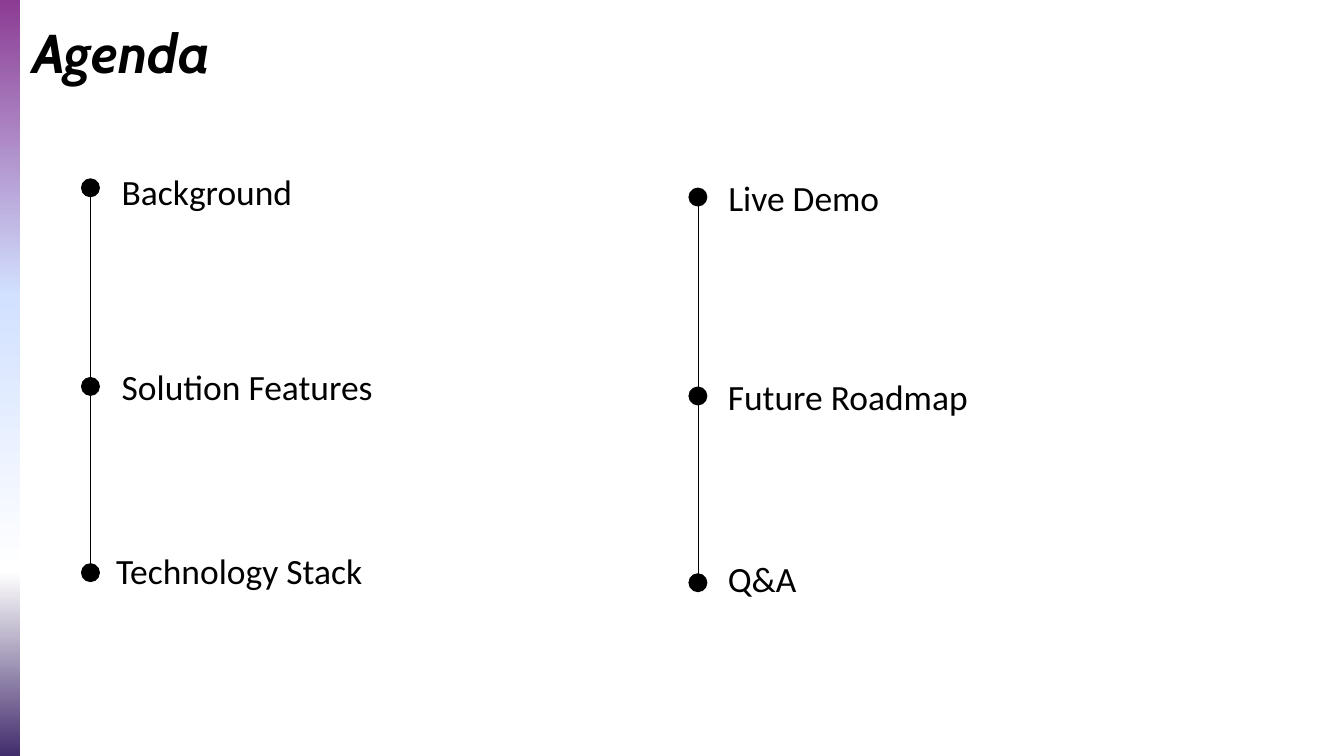
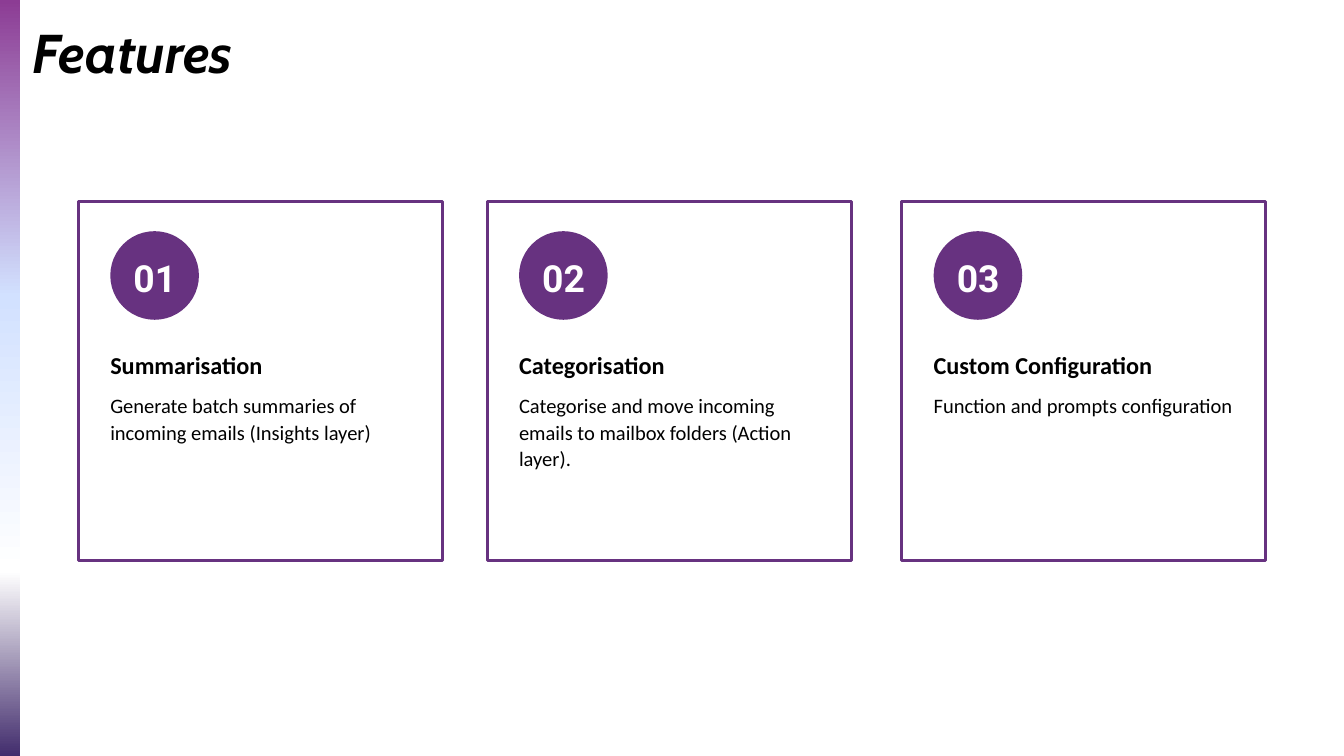
from copy import deepcopy

from lxml import etree
from pptx import Presentation
from pptx.dml.color import RGBColor
from pptx.enum.shapes import MSO_CONNECTOR, MSO_SHAPE
from pptx.enum.text import MSO_ANCHOR, MSO_AUTO_SIZE, PP_ALIGN
from pptx.oxml.ns import qn
from pptx.util import Cm, Pt

OVAL, RECTANGLE = MSO_SHAPE.OVAL, MSO_SHAPE.RECTANGLE
STRAIGHT = MSO_CONNECTOR.STRAIGHT
TOP, MIDDLE, BOTTOM = MSO_ANCHOR.TOP, MSO_ANCHOR.MIDDLE, MSO_ANCHOR.BOTTOM
LEFT, CENTER = PP_ALIGN.LEFT, PP_ALIGN.CENTER
FIXED, GROW = MSO_AUTO_SIZE.NONE, MSO_AUTO_SIZE.SHAPE_TO_FIT_TEXT

BLACK, WHITE, PURPLE = "000000", "FFFFFF", "673280"
BAND_STOPS = [(0, "8C3C94"), (0.39, "D2E1FF"), (0.75, "FFFFFF"), (1, "3C2668")]

TITLE = {"name": "Cabin", "size": Pt(58.5), "bold": True, "italic": True}
AGENDA_ITEM = {"name": "Calibri", "size": Pt(38)}
CARD_HEADING = {"name": "Calibri", "size": Pt(26), "bold": True}
CARD_BODY = {"name": "Calibri", "size": Pt(22)}
CARD_NUMBER = {"name": "Roboto", "size": Pt(40), "bold": True}

DOT = 0.68
LEFT_AGENDA = [
    ("Background", 6.76, 4.6, 5.23),
    ("Solution Features", 14.27, 4.6, 12.6),
    ("Technology Stack", 21.31, 4.39, 19.56),
]
RIGHT_AGENDA = [
    ("Live Demo", 7.11, 27.53, 5.44),
    ("Future Roadmap", 14.63, 27.51, 12.95),
    ("Q&A", 21.69, 27.51, 19.84),
]
CARDS = [
    (2.97, "Summarisation",
     "Generate batch summaries of incoming emails (Insights layer)", 2.08),
    (18.42, "Categorisation",
     "Categorise and move incoming emails to mailbox folders (Action layer).", 3.07),
    (34.09, "Custom Configuration", "Function and prompts configuration", 2.08),
]


def color(hex_value):
    """Turn a hex string into a colour."""
    return RGBColor.from_string(hex_value)


def add_text(slide, text, place, style, spacing, hex_value=BLACK,
             anchor=TOP, align=LEFT, fit=FIXED):
    """Add a one-paragraph text box without margins."""
    box = slide.shapes.add_textbox(*map(Cm, place))
    frame_format = {"word_wrap": True, "auto_size": fit, "vertical_anchor": anchor,
                    "margin_left": 0, "margin_right": 0,
                    "margin_top": 0, "margin_bottom": 0}
    for name, value in frame_format.items():
        setattr(box.text_frame, name, value)
    para = box.text_frame.paragraphs[0]
    para.alignment = align
    para.line_spacing = Pt(spacing)
    span = para.add_run()
    span.text = text
    for name, value in style.items():
        setattr(span.font, name, value)
    span.font.color.rgb = color(hex_value)


def add_figure(slide, preset, place, fill, line=None, weight=1):
    """Add a flat preset shape with an optional outline."""
    figure = slide.shapes.add_shape(preset, *map(Cm, place))
    figure.shadow.inherit = False
    figure.fill.solid()
    figure.fill.fore_color.rgb = color(fill)
    if line:
        figure.line.color.rgb = color(line)
        figure.line.width = Pt(weight)
    else:
        figure.line.fill.background()
    return figure


def add_vertical_line(slide, x, top, bottom):
    """Add a thin vertical line between two heights."""
    line = slide.shapes.add_connector(STRAIGHT, Cm(x), Cm(top), Cm(x), Cm(bottom))
    line.line.color.rgb = color(BLACK)
    line.line.width = Pt(0.75)
    etree.SubElement(line._element.spPr, qn("a:effectLst"))


def add_band(slide):
    """Add the vertical gradient band on the left edge."""
    band = add_figure(slide, RECTANGLE, (0, 0, 0.76, 28.8), WHITE)
    band.fill.gradient()
    band.fill.gradient_angle = 270
    stop_list = band._element.spPr.find(qn("a:gradFill")).find(qn("a:gsLst"))
    for _ in BAND_STOPS[2:]:
        stop_list.append(deepcopy(stop_list[0]))
    for stop, (position, hex_value) in zip(band.fill.gradient_stops, BAND_STOPS):
        stop.position = position
        stop.color.rgb = color(hex_value)


def add_slide(deck, title):
    """Add a blank slide with the shared band and title."""
    slide = deck.slides.add_slide(deck.slide_layouts[6])
    add_band(slide)
    add_text(slide, title, (1.22, 0.15, 35.23, 3.84), TITLE, 63.2, anchor=MIDDLE)
    return slide


def add_agenda_column(slide, dot_left, items):
    """Add a column of dots joined by lines, each with its label."""
    dot_tops = [item[1] for item in items]
    for top, next_top in zip(dot_tops, dot_tops[1:]):
        add_vertical_line(slide, dot_left + DOT / 2, top + DOT, next_top)
    for text, dot_top, text_left, text_top in items:
        add_figure(slide, OVAL, (dot_left, dot_top, DOT, DOT), BLACK, BLACK)
        add_text(slide, text, (text_left, text_top, 18.14, 2.82),
                 AGENDA_ITEM, 45.6, anchor=BOTTOM)


def add_card(slide, number, left, heading, body, body_height):
    """Add an outlined card with a numbered circle, heading and body."""
    inner = left + 1.2
    add_figure(slide, RECTANGLE, (left, 7.62, 13.76, 13.56), WHITE, PURPLE, 3)
    add_text(slide, body, (inner, 14.78, 11.45, body_height),
             CARD_BODY, 28.6, fit=GROW)
    add_text(slide, heading, (inner, 13.16, 11.45, 1.27),
             CARD_HEADING, 33.8, fit=GROW)
    add_figure(slide, OVAL, (inner, 8.74, 3.35, 3.35), PURPLE)
    add_text(slide, f"{number:02}", (inner + 0.58, 9.5, 2.21, 1.75),
             CARD_NUMBER, 52, WHITE, align=CENTER, fit=GROW)


def main():
    """Build both slides and save the deck."""
    deck = Presentation()
    deck.slide_width, deck.slide_height = Cm(50.8), Cm(28.58)

    agenda = add_slide(deck, "Agenda")
    add_agenda_column(agenda, 3.08, LEFT_AGENDA)
    add_agenda_column(agenda, 26.04, RIGHT_AGENDA)

    features = add_slide(deck, "Features")
    for number, card in enumerate(CARDS, 1):
        add_card(features, number, *card)

    deck.save("out.pptx")


if __name__ == "__main__":
    main()
